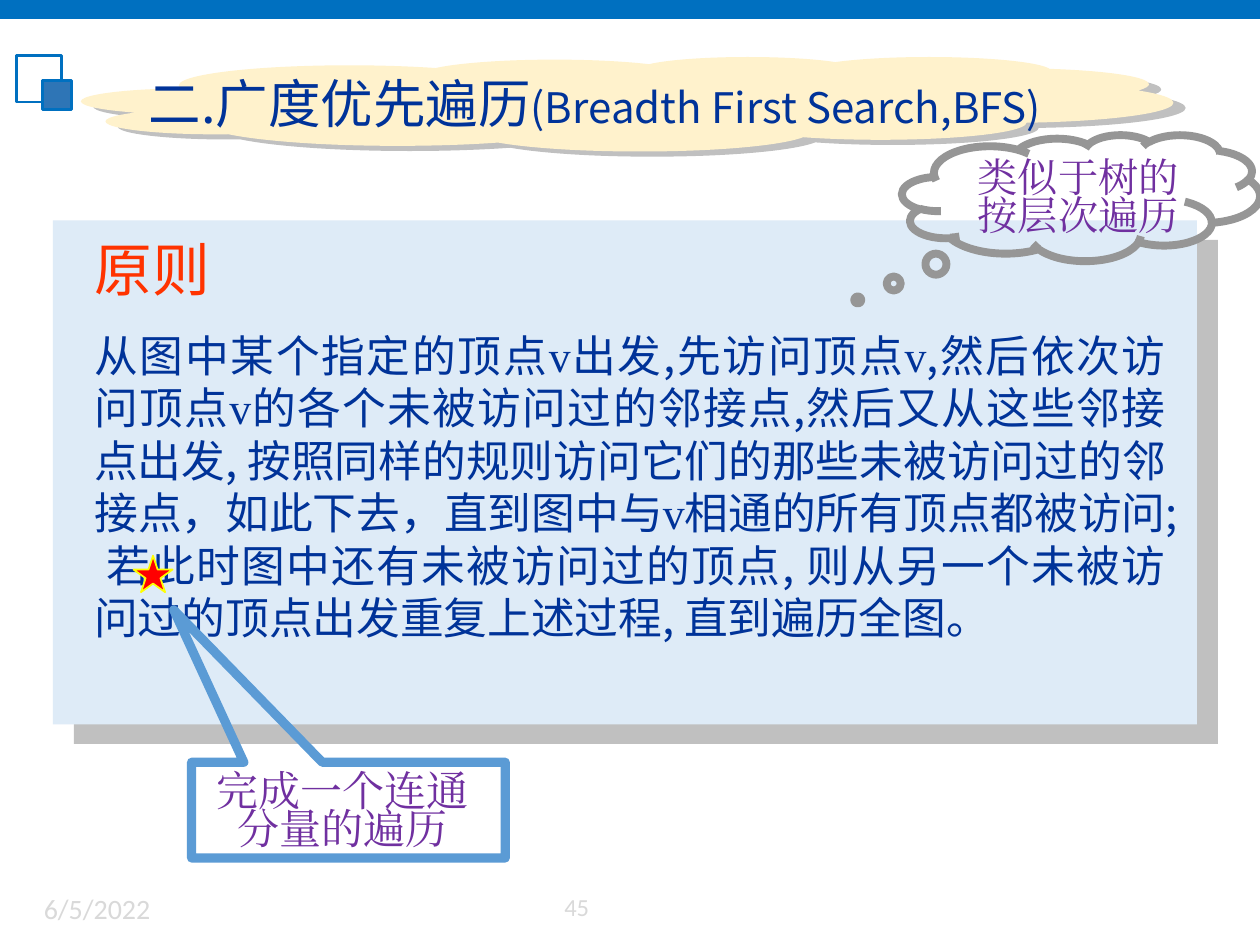
from dataclasses import dataclass
from typing import Optional

import pptx
import pptx.dml.color
import pptx.enum.shapes
import pptx.enum.text
import pptx.oxml
import pptx.oxml.ns
import pptx.util
from pptx.util import Inches

RGBColor = pptx.dml.color.RGBColor
Shape = pptx.enum.shapes.MSO_SHAPE
Align = pptx.enum.text.PP_ALIGN

WHITE = RGBColor(0xFF, 0xFF, 0xFF)
BLUE = RGBColor(0x00, 0x70, 0xC0)
MID_BLUE = RGBColor(0x2E, 0x75, 0xB6)
CALLOUT_BLUE = RGBColor(0x5B, 0x9B, 0xD5)
PALE_BLUE = RGBColor(0xDE, 0xEB, 0xF7)
NAVY = RGBColor(0x00, 0x33, 0x99)
CREAM = RGBColor(0xFF, 0xF2, 0xCC)
GRAY = RGBColor(0x96, 0x96, 0x96)
LIGHT_GRAY = RGBColor(0xD9, 0xD9, 0xD9)
SHADOW_GRAY = RGBColor(0xC0, 0xC0, 0xC0)
ORANGE = RGBColor(0xFF, 0x33, 0x00)
PURPLE = RGBColor(0x70, 0x30, 0xA0)
RED = RGBColor(0xFF, 0x00, 0x00)
YELLOW = RGBColor(0xFF, 0xFF, 0x00)

SANS = "Noto Sans CJK SC"
SERIF = "Times New Roman"
LATIN = "Calibri"

PRINCIPLE = (
    "从图中某个指定的顶点v出发,先访问顶点v,然后依次访问顶点v的各个未被访问过的邻接点,"
    "然后又从这些邻接点出发, 按照同样的规则访问它们的那些未被访问过的邻接点，如此下去，"
    "直到图中与v相通的所有顶点都被访问; 若此时图中还有未被访问过的顶点, "
    "则从另一个未被访问过的顶点出发重复上述过程, 直到遍历全图。"
)


@dataclass
class Figure:
    kind: Shape
    place: tuple[float, float, float, float]
    fill: Optional[RGBColor] = None
    line: Optional[RGBColor] = None
    weight: float = 1.5
    adjustments: tuple[float, ...] = ()
    shadow: Optional[tuple[float, float]] = None


@dataclass
class Label:
    text: str
    place: tuple[float, float, float, float]
    size: float
    font: str
    color: RGBColor
    align: Align = Align.LEFT
    spacing: Optional[float | pptx.util.Pt] = None


def add_shadow(shape, distance: float, angle: float) -> None:
    effects = shape.element.spPr.find(pptx.oxml.ns.qn("a:effectLst"))
    effects.append(pptx.oxml.parse_xml(
        f'<a:outerShdw {pptx.oxml.ns.nsdecls("a")} dist="{pptx.util.Pt(distance)}" '
        f'dir="{round(angle * 60000)}" algn="ctr" rotWithShape="0">'
        f'<a:srgbClr val="{SHADOW_GRAY}"/></a:outerShdw>'
    ))


def draw_figure(page, figure: Figure) -> None:
    shape = page.shapes.add_shape(figure.kind, *map(Inches, figure.place))
    shape.shadow.inherit = False
    for index, value in enumerate(figure.adjustments):
        shape.adjustments[index] = value
    if figure.fill is None:
        shape.fill.background()
    else:
        shape.fill.solid()
        shape.fill.fore_color.rgb = figure.fill
    if figure.line is None:
        shape.line.fill.background()
    else:
        shape.line.color.rgb = figure.line
        shape.line.width = pptx.util.Pt(figure.weight)
    if figure.shadow:
        add_shadow(shape, *figure.shadow)


def format_span(span, size: float, font: str, color: RGBColor) -> None:
    span.font.size = pptx.util.Pt(size)
    span.font.name = font
    span.font.color.rgb = color
    east_asian = span.font._element.makeelement(pptx.oxml.ns.qn("a:ea"), {"typeface": font})
    span.font._element.find(pptx.oxml.ns.qn("a:latin")).addnext(east_asian)


def draw_label(page, label: Label):
    box = page.shapes.add_textbox(*map(Inches, label.place))
    frame = box.text_frame
    frame.word_wrap = True
    frame.text = label.text
    for para in frame.paragraphs:
        para.alignment = label.align
        para.line_spacing = label.spacing
        for span in para.runs:
            format_span(span, label.size, label.font, label.color)
    return box


def draw_principle(page) -> None:
    box = draw_label(page, Label("", (0.65, 2.56, 8.7, 2.62), 25, SANS, NAVY,
                                 Align.JUSTIFY, pptx.util.Pt(30)))
    para = box.text_frame.paragraphs[0]
    for index, part in enumerate(PRINCIPLE.split("v")):
        pieces = [("v", SERIF)] if index else []
        for text, font in pieces + [(part, SANS)]:
            span = para.add_run()
            span.text = text
            format_span(span, 25, font, NAVY)


def draw_title(page) -> None:
    title = page.shapes.title
    title.left, title.top, title.width, title.height = map(Inches, (1.08, 0.51, 7.95, 1.01))
    frame = title.text_frame
    frame.word_wrap = True
    frame.auto_size = pptx.enum.text.MSO_AUTO_SIZE.NONE
    frame.vertical_anchor = pptx.enum.text.MSO_ANCHOR.TOP
    para = frame.paragraphs[0]
    para.alignment = Align.LEFT
    for text, size in (("二.广度优先遍历", 30), ("(Breadth First Search,BFS)", 24)):
        span = para.add_run()
        span.text = text
        format_span(span, size, SANS, NAVY)
    title.element.getparent().append(title.element)


def main() -> None:
    deck = pptx.Presentation()
    deck.slide_width, deck.slide_height = Inches(10), Inches(7.5)
    page = deck.slides.add_slide(deck.slide_layouts[5])
    page.background.fill.solid()
    page.background.fill.fore_color.rgb = WHITE

    for figure in (
        Figure(Shape.RECTANGLE, (0, 0, 10, 0.15), BLUE),
        Figure(Shape.RECTANGLE, (0.13, 0.44, 0.36, 0.37), None, BLUE),
        Figure(Shape.RECTANGLE, (0.34, 0.64, 0.23, 0.23), MID_BLUE, BLUE),
        Figure(Shape.RECTANGLE, (0.42, 1.75, 9.08, 4), PALE_BLUE, shadow=(16.3, 43)),
    ):
        draw_figure(page, figure)

    for label in (
        Label("6/5/2022", (0.25, 7.03, 1.84, 0.4), 16, LATIN, LIGHT_GRAY),
        Label("45", (4.38, 7.03, 0.62, 0.38), 14, LATIN, LIGHT_GRAY),
        Label("原则", (0.65, 1.8, 1.42, 0.65), 33, SANS, ORANGE, spacing=pptx.util.Pt(40)),
    ):
        draw_label(page, label)
    draw_principle(page)

    draw_figure(page, Figure(Shape.CLOUD, (0.65, 0.45, 8.66, 0.75), CREAM, shadow=(7.6, 23)))
    draw_title(page)

    draw_figure(page, Figure(Shape.CLOUD_CALLOUT, (7.16, 1.07, 2.84, 1), None, GRAY, 4.5,
                             (-0.624, 0.811)))
    draw_label(page, Label("类似于树的\n按层次遍历", (7.29, 1.23, 2.54, 0.72), 23, SERIF, PURPLE,
                           Align.CENTER, 0.8))
    draw_figure(page, Figure(Shape.RECTANGULAR_CALLOUT, (1.52, 6.05, 2.49, 0.76), None,
                             CALLOUT_BLUE, 5.25, (-0.557, -2.092)))
    draw_label(page, Label("完成一个连通\n分量的遍历", (1.44, 6.11, 2.56, 0.7), 24, SERIF, PURPLE,
                           Align.CENTER, 0.75))
    draw_figure(page, Figure(Shape.STAR_5_POINT, (1.06, 4.41, 0.31, 0.29), RED, YELLOW, 1))

    deck.save("out.pptx")


if __name__ == "__main__":
    main()
